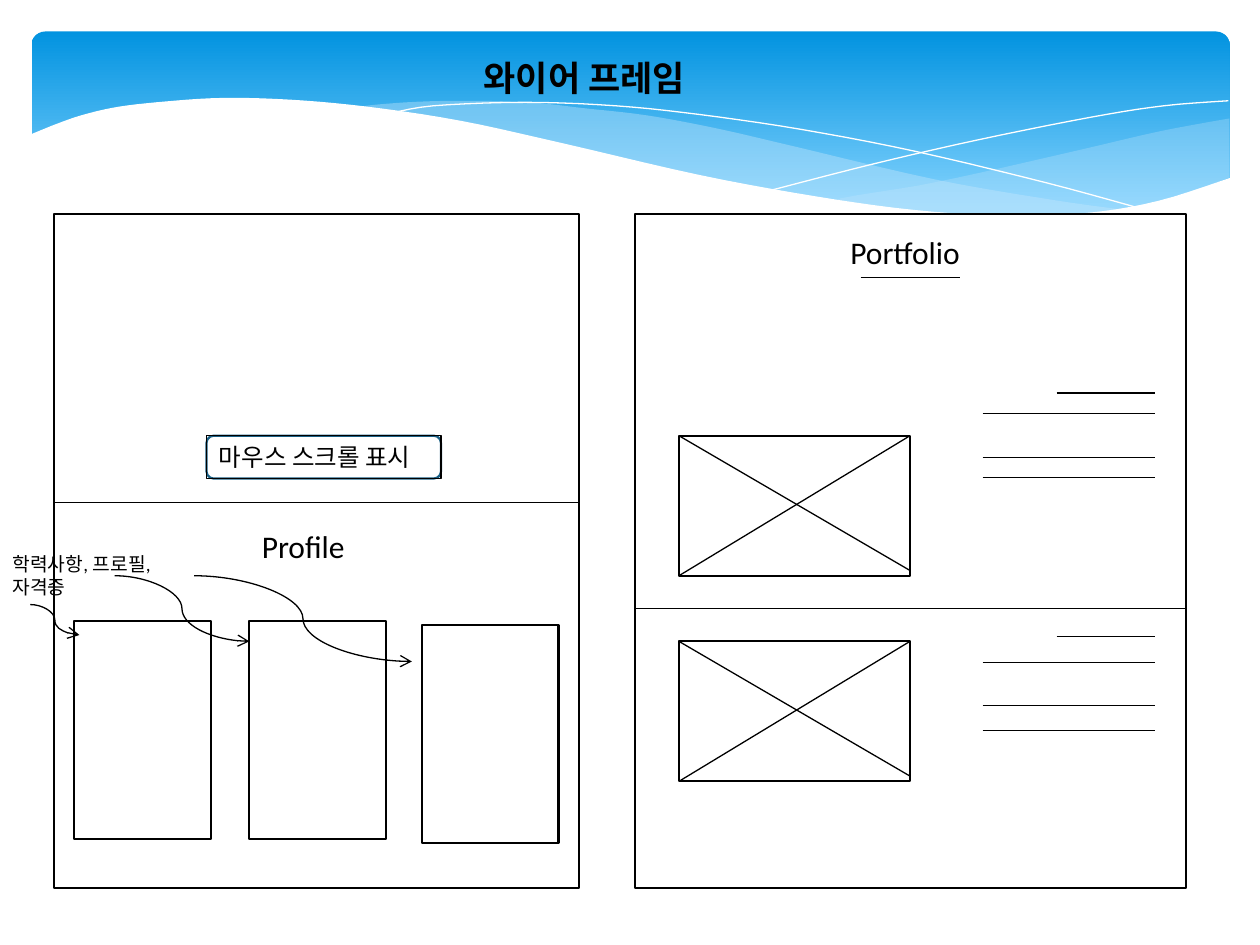
from dataclasses import dataclass

from lxml import etree
from pptx import Presentation
from pptx.dml.color import RGBColor
from pptx.enum.shapes import MSO_CONNECTOR, MSO_SHAPE
from pptx.enum.text import MSO_ANCHOR, PP_ALIGN
from pptx.oxml.ns import qn
from pptx.util import Pt

RECT, ROUND = MSO_SHAPE.RECTANGLE, MSO_SHAPE.ROUNDED_RECTANGLE
STRAIGHT, CURVE = MSO_CONNECTOR.STRAIGHT, MSO_CONNECTOR.CURVE
MIDDLE, LEFT = MSO_ANCHOR.MIDDLE, PP_ALIGN.LEFT


@dataclass(frozen=True)
class Theme:
    """Colours, font, type sizes and line widths."""
    ink: str = "000000"
    paper: str = "FFFFFF"
    sky_top: str = "0293E0"
    sky_bottom: str = "83D3FE"
    mist: str = "C6E7FC"
    button: str = "195F84"
    font: str = "Calibri"
    title: int = 20
    heading: int = 18
    body: int = 14
    note: int = 11
    frame: float = 1.25
    thin: float = 0.75


T = Theme()

RIGHT_MIST = [(702.5, 67.7), (663, 75), (620, 85), (561, 98.5), (525, 106), (476, 115),
              (518, 120), (562, 123.5), (601, 123.5), (634, 120.5), (668, 114), (702.5, 101.5)]
LONG_MIST = [(643, 120), (603, 114.5), (534, 102.5), (453, 83.5), (410, 73.5), (370, 66),
             (335, 62), (302, 58.5), (260, 57.6), (225, 59), (206, 62), (246, 67.5),
             (291, 76), (323, 83.5), (382, 97), (433, 108), (479, 116), (520, 121),
             (556, 123.5), (589, 124.5), (617, 123), (643, 120)]
FALLING_ARC = [(222.5, 65), (247.5, 60.5), (300, 58.5), (352, 60.5), (400, 65.5),
               (458, 74), (523, 86.5), (598, 104.5), (653, 119.5)]
RISING_ARC = [(441.5, 108.5), (500, 93.5), (558.7, 80), (623.5, 67), (665, 60.5), (702, 57.6)]
WHITE_EDGE = [(703.5, 101.5), (662, 114.8), (621, 121.7), (573, 123.1), (522.5, 120),
              (466.5, 112.3), (399.6, 100), (322, 82), (263, 69), (210, 61), (166, 57),
              (127, 56), (95, 58), (68, 61), (48, 65.5), (33, 70.6), (16.5, 77.3)]


def rgb(color):
    """Turn a hex string into a colour."""
    return RGBColor.from_string(color)


def smooth(pts, steps=5):
    """Return points along a Catmull-Rom curve through pts."""
    ends = [pts[0], *pts, pts[-1]]
    curve = [pts[0]]
    for a, b, c, d in zip(ends, ends[1:], ends[2:], ends[3:]):
        for t in (i / steps for i in range(1, steps + 1)):
            curve.append(tuple(
                (2 * q + (r - p) * t + (2 * p - 5 * q + 4 * r - u) * t ** 2
                 + (3 * q - p - 3 * r + u) * t ** 3) / 2
                for p, q, r, u in zip(a, b, c, d)))
    return curve


def paint(sp, fill=None, line=None, width=T.frame):
    """Set the fill and outline of a shape and drop its shadow."""
    sp.shadow.inherit = False
    if fill:
        sp.fill.solid()
        sp.fill.fore_color.rgb = rgb(fill)
    else:
        sp.fill.background()
    if line:
        sp.line.color.rgb = rgb(line)
        sp.line.width = Pt(width)
    else:
        sp.line.fill.background()


def add_box(s, x, y, w, h, kind=RECT, fill=T.paper, line=T.ink, width=T.frame):
    """Add an outlined box."""
    sp = s.shapes.add_shape(kind, Pt(x), Pt(y), Pt(w), Pt(h))
    paint(sp, fill, line, width)
    return sp


def write(sp, text, size, bold=False):
    """Write one left-aligned paragraph into a shape."""
    tf = sp.text_frame
    tf.word_wrap = True
    tf.text = text
    p = tf.paragraphs[0]
    p.alignment = LEFT
    font = p.runs[0].font
    font.name, font.size, font.bold = T.font, Pt(size), bold
    font.color.rgb = rgb(T.ink)


def add_text(s, x, y, w, h, text, size, bold=False):
    """Add a text box."""
    write(s.shapes.add_textbox(Pt(x), Pt(y), Pt(w), Pt(h)), text, size, bold)


def add_line(s, x1, y1, x2, y2, kind=STRAIGHT, arrow=False):
    """Add a thin connector, with an arrowhead at its end if asked."""
    cn = s.shapes.add_connector(kind, Pt(x1), Pt(y1), Pt(x2), Pt(y2))
    cn.line.color.rgb = rgb(T.ink)
    cn.line.width = Pt(T.thin)
    if arrow:
        etree.SubElement(cn.line._get_or_add_ln(), qn("a:tailEnd"), type="arrow")
    etree.SubElement(cn._element.spPr, qn("a:effectLst"))


def add_wave(s, pts, fill=None, alpha=100, line=None):
    """Add a freeform through pts, closed when it has a fill."""
    units = [(round(x * 100), round(y * 100)) for x, y in pts]
    fb = s.shapes.build_freeform(*units[0], scale=Pt(1) / 100)
    fb.add_line_segments(units[1:], close=bool(fill))
    sp = fb.convert_to_shape()
    paint(sp, fill, line, 0)
    if alpha < 100:
        clr = sp._element.spPr.find(qn("a:solidFill"))[0]
        etree.SubElement(clr, qn("a:alpha"), val=str(alpha * 1000))


def header(s, x, y, w, h):
    """Draw the blue banner with its waves and the slide title."""
    sky = add_box(s, x, y, w, h, ROUND, line=None)
    sky.adjustments[0] = 0.07
    sky.fill.gradient()
    sky.fill.gradient_angle = 270
    for stop, color, pos in zip(sky.fill.gradient_stops, (T.sky_top, T.sky_bottom), (0, 0.9)):
        stop.color.rgb = rgb(color)
        stop.position = pos
    add_wave(s, smooth(RIGHT_MIST), T.mist, 29)
    add_wave(s, smooth(LONG_MIST), T.mist, 40)
    for arc in (FALLING_ARC, RISING_ARC):
        add_wave(s, smooth(arc), line=T.paper)
    add_wave(s, smooth(WHITE_EDGE) + [(16.5, 161), (703.5, 161)], T.paper)
    add_text(s, x + 251.3, y + 10.8, 198.7, 31.7, "와이어 프레임", T.title, True)


def profile_panel(s, x, y, w, h):
    """Draw the scroll hint, the three profile cards and their notes."""
    add_box(s, x, y, w, h)
    hint = (x + 87, y + 126.5, 134, 24.5)
    add_box(s, *hint, kind=ROUND, line=T.button)
    label = add_box(s, *hint, fill=None, width=T.thin)
    label.text_frame.vertical_anchor = MIDDLE
    write(label, "마우스 스크롤 표시", T.body)
    add_line(s, x, y + 164.8, x + w, y + 164.8)
    for dx, dy in ((11.5, 232.5), (111.5, 232.5), (210.2, 234.7)):
        add_box(s, x + dx, y + dy, 78, 124.5)
    for x1, y1, x2, y2 in ((-13.7, 223, 14.4, 240.4), (34.5, 206.5, 111.5, 244),
                           (79.9, 206.5, 204.4, 255.5)):
        add_line(s, x + x1, y + y1, x + x2, y + y2, CURVE, True)
    add_text(s, x - 31, y + 189.3, 120, 34, "학력사항, 프로필, 자격증", T.note)
    add_text(s, x + 111.5, y + 174.9, 65, 29, "Profile", T.heading)


def project(s, x, y, w, h, line_tops):
    """Draw a crossed image frame with four text lines beside it."""
    add_box(s, x, y, w, h)
    add_line(s, x, y, x + w, y + h - 3)
    add_line(s, x, y + h, x + w, y)
    for i, dy in enumerate(line_tops):
        add_line(s, x + (173.5 if i else 215.8), y + dy, x + 272.2, y + dy)


def portfolio_panel(s, x, y, w, h):
    """Draw the portfolio heading and its two projects."""
    add_box(s, x, y, w, h)
    add_text(s, x + 115.8, y + 7.1, 82, 29, "Portfolio", T.heading)
    add_line(s, x + 128.8, y + 35.9, x + 185.6, y + 35.9)
    project(s, x + 25, y + 126.5, 132, 80, (-24.4, -12.8, 12.4, 23.9))
    add_line(s, x, y + 225.3, x + w, y + 225.3)
    project(s, x + 25, y + 244, 132, 80, (-2.9, 12.2, 36.7, 51.1))


def main():
    """Build the wireframe slide."""
    prs = Presentation()
    prs.slide_width, prs.slide_height = Pt(720), Pt(540)
    s = prs.slides.add_slide(prs.slide_layouts[6])
    header(s, 18, 18, 684.7, 112.3)
    profile_panel(s, 31, 122.5, 300, 385)
    portfolio_panel(s, 363, 122.5, 314.6, 385)
    prs.save("out.pptx")


if __name__ == "__main__":
    main()
